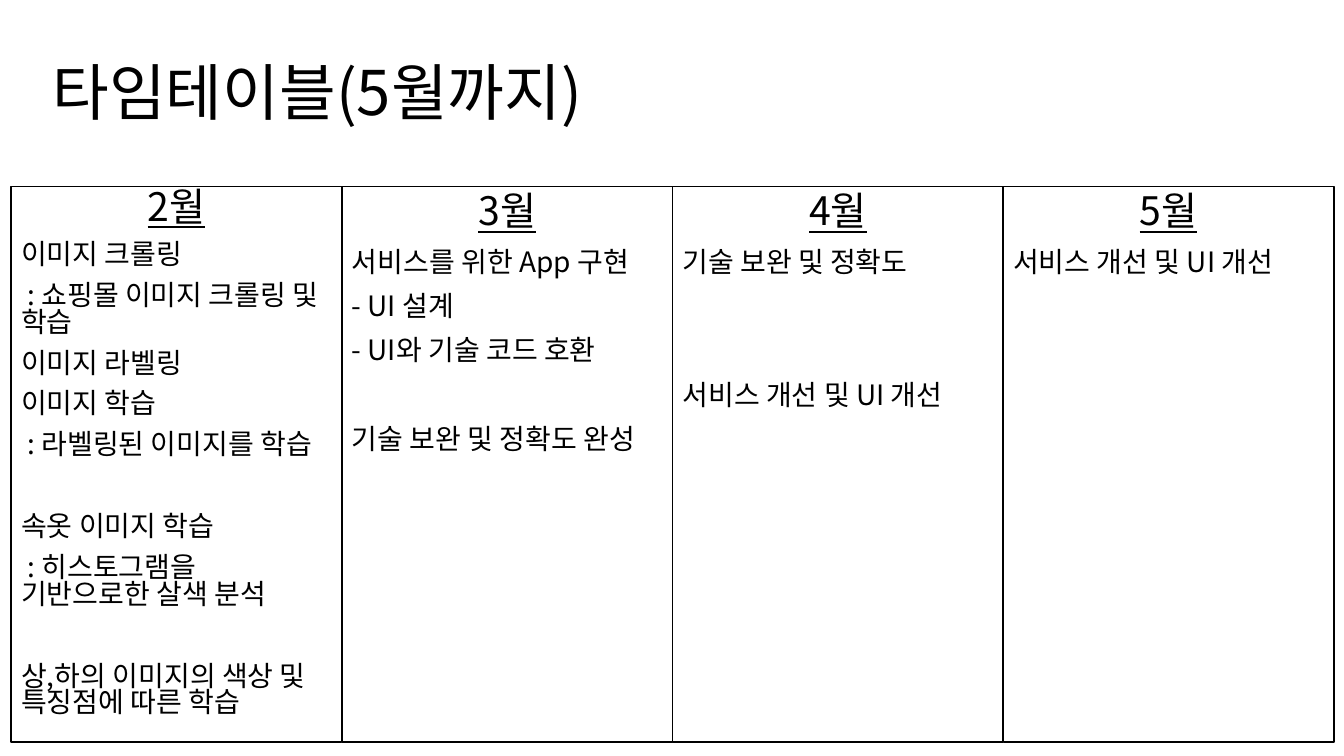
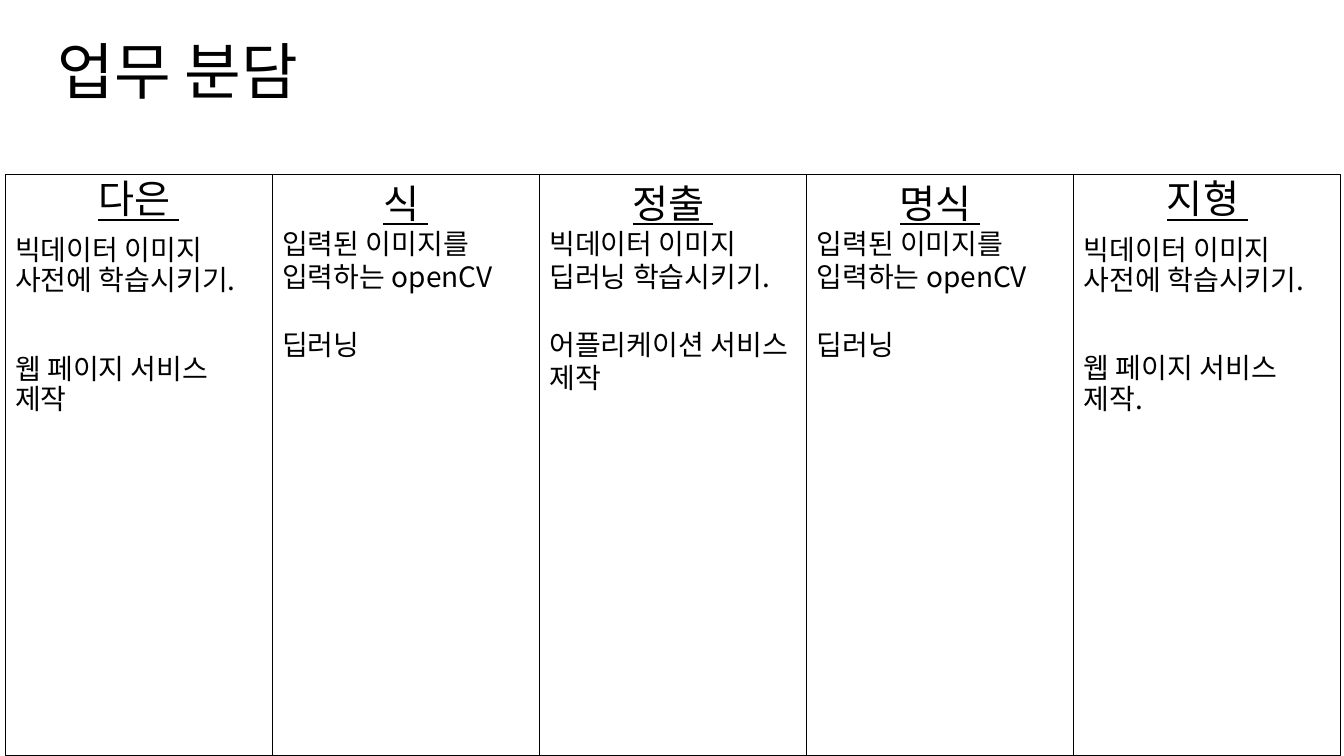
"""Build the timetable and work-sharing slides as rows of bordered columns."""
from lxml import etree
from pptx import Presentation, util as u
from pptx.dml.color import RGBColor
from pptx.enum import shapes, text
from pptx.oxml import ns

BLACK = RGBColor(0, 0, 0)
WHITE = RGBColor(255, 255, 255)
FONT = "Noto Sans CJK KR"
LINE_HEIGHT = 1.2


def write(p, content, size=20, spacing=0.9, before=0, underline=False,
          align=text.PP_ALIGN.LEFT):
    pPr = p._p.get_or_add_pPr()
    pPr.set("marL", "0")
    pPr.set("indent", "0")
    etree.SubElement(pPr, ns.qn("a:buNone"))
    p.alignment = align
    p.line_spacing = u.Pt(round(size * LINE_HEIGHT * spacing, 1))
    p.space_before = u.Pt(round(before, 1))
    r = p.add_run()
    r.text = content
    r.font.size = u.Pt(size)
    r.font.name = FONT
    r.font.underline = underline
    r.font.color.rgb = BLACK
    etree.SubElement(r._r.get_or_add_rPr(), ns.qn("a:ea"), typeface=FONT)


class Deck:
    """Hold the shared style and the current slide."""

    def __init__(self):
        self.prs = Presentation()
        self.prs.slide_width = u.Inches(13.33)
        self.prs.slide_height = u.Inches(7.5)
        self.s = None

    def place(self, sp, left, top, width, height):
        sp.left, sp.top = u.Inches(left), u.Inches(top)
        sp.width, sp.height = u.Inches(width), u.Inches(height)

    def slide(self, title, left, top):
        self.s = self.prs.slides.add_slide(self.prs.slide_layouts[1])
        sp = self.s.shapes.title
        self.place(sp, left, top, 11.5, 1.45)
        tf = sp.text_frame
        tf.auto_size = text.MSO_AUTO_SIZE.NONE
        tf.vertical_anchor = text.MSO_ANCHOR.MIDDLE
        write(tf.paragraphs[0], title, size=44)

    def column(self, sp, heading, items, spacing, gap, line, fill):
        sp.line.color.rgb = BLACK
        sp.line.width = u.Pt(line)
        if fill is None:
            sp.fill.background()
        else:
            sp.fill.solid()
            sp.fill.fore_color.rgb = fill
        tf = sp.text_frame
        tf.word_wrap = True
        tf.auto_size = text.MSO_AUTO_SIZE.NONE
        tf.vertical_anchor = text.MSO_ANCHOR.TOP
        write(tf.paragraphs[0], heading, size=28, spacing=spacing,
              underline=True, align=text.PP_ALIGN.CENTER)
        step = 20 * LINE_HEIGHT * spacing + gap
        for content, skipped in items:
            write(tf.add_paragraph(), content, spacing=spacing,
                  before=gap + skipped * step)

    def columns(self, left, top, width, height, data, line, fill=None):
        for i, (heading, spacing, gap, items) in enumerate(data):
            if i == 0:
                sp = self.s.placeholders[1]
            else:
                sp = self.s.shapes.add_shape(shapes.MSO_SHAPE.RECTANGLE, 0, 0, 0, 0)
                sp.shadow.inherit = False
            self.place(sp, left + i * width, top, width, height)
            self.column(sp, heading, items, spacing, gap, line, fill)


MONTHS = [
    ("2월", 0.8, 10, [
        ("이미지 크롤링", 0),
        (" : 쇼핑몰 이미지 크롤링 및 학습", 0),
        ("이미지 라벨링", 0),
        ("이미지 학습", 0),
        (" : 라벨링된 이미지를 학습", 0),
        ("속옷 이미지 학습", 1),
        (" : 히스토그램을 기반으로한 살색 분석", 0),
        ("상,하의 이미지의 색상 및 특징점에 따른 학습", 1)]),
    ("3월", 0.9, 10, [
        ("서비스를 위한 App 구현", 0),
        ("- UI 설계", 0),
        ("- UI와 기술 코드 호환", 0),
        ("기술 보완 및 정확도 완성", 1)]),
    ("4월", 0.9, 10, [
        ("기술 보완 및 정확도", 0),
        ("서비스 개선 및 UI 개선", 2)]),
    ("5월", 0.9, 10, [("서비스 개선 및 UI 개선", 0)]),
]

VISION = [("입력된 이미지를 입력하는 openCV", 0), ("딥러닝", 1)]
PRETRAIN = ("빅데이터 이미지 사전에 학습시키기.", 0)
MEMBERS = [
    ("다은 ", 0.9, 10, [PRETRAIN, ("웹 페이지 서비스 제작", 1)]),
    ("식 ", 1, 0, VISION),
    ("정출 ", 1, 0, [
        ("빅데이터 이미지 딥러닝 학습시키기.", 0),
        ("어플리케이션 서비스 제작", 1)]),
    ("명식 ", 1, 0, VISION),
    ("지형 ", 0.9, 10, [PRETRAIN, ("웹 페이지 서비스 제작.", 1)]),
]


def main():
    deck = Deck()
    deck.slide("타임테이블(5월까지)", 0.42, 0.21)
    deck.columns(0.11, 1.85, 3.28, 5.51, MONTHS, line=1, fill=WHITE)
    deck.slide("업무 분담", 0.47, 0)
    deck.columns(0.05, 1.73, 2.65, 5.77, MEMBERS, line=0.75)
    deck.prs.save("out.pptx")


if __name__ == "__main__":
    main()
